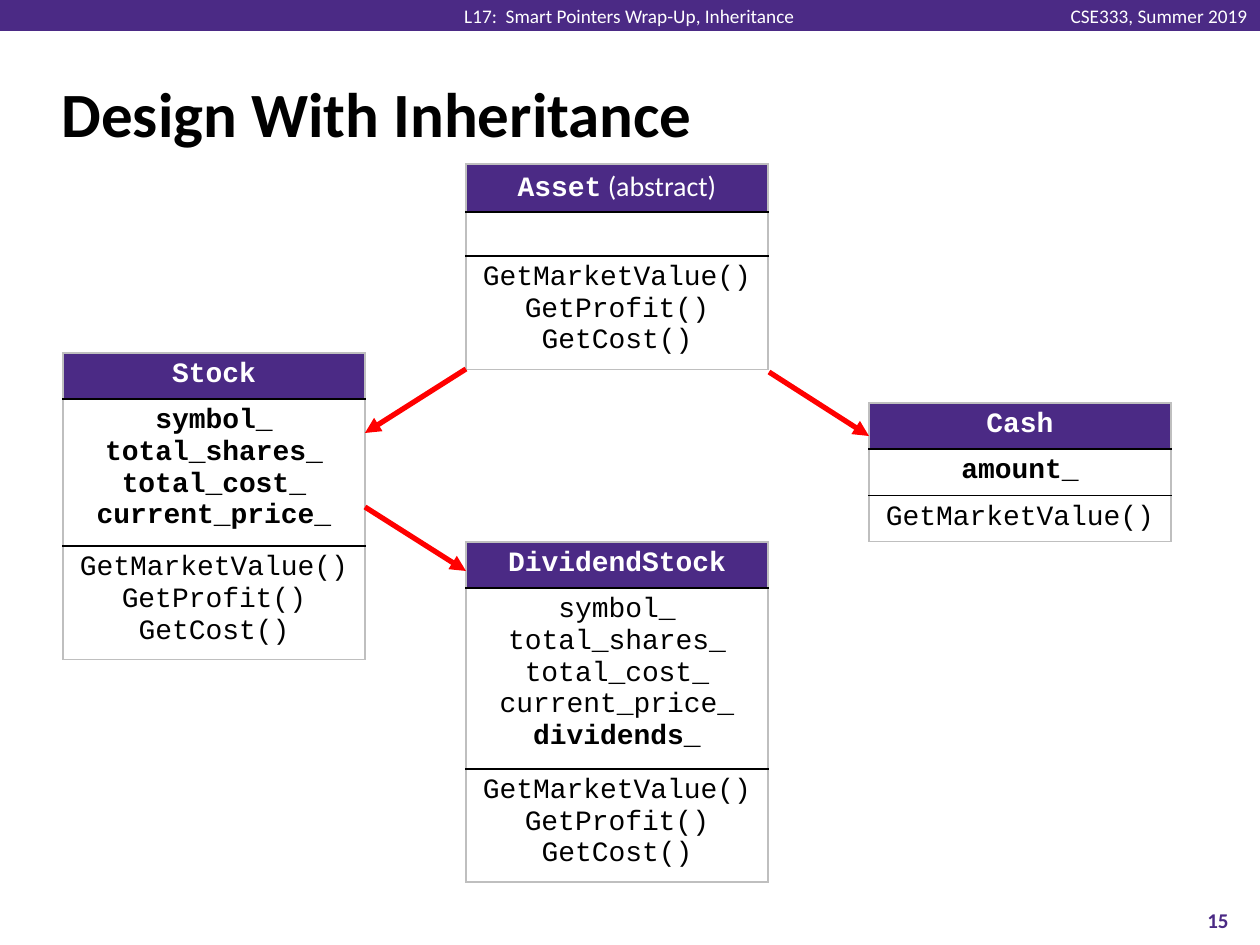
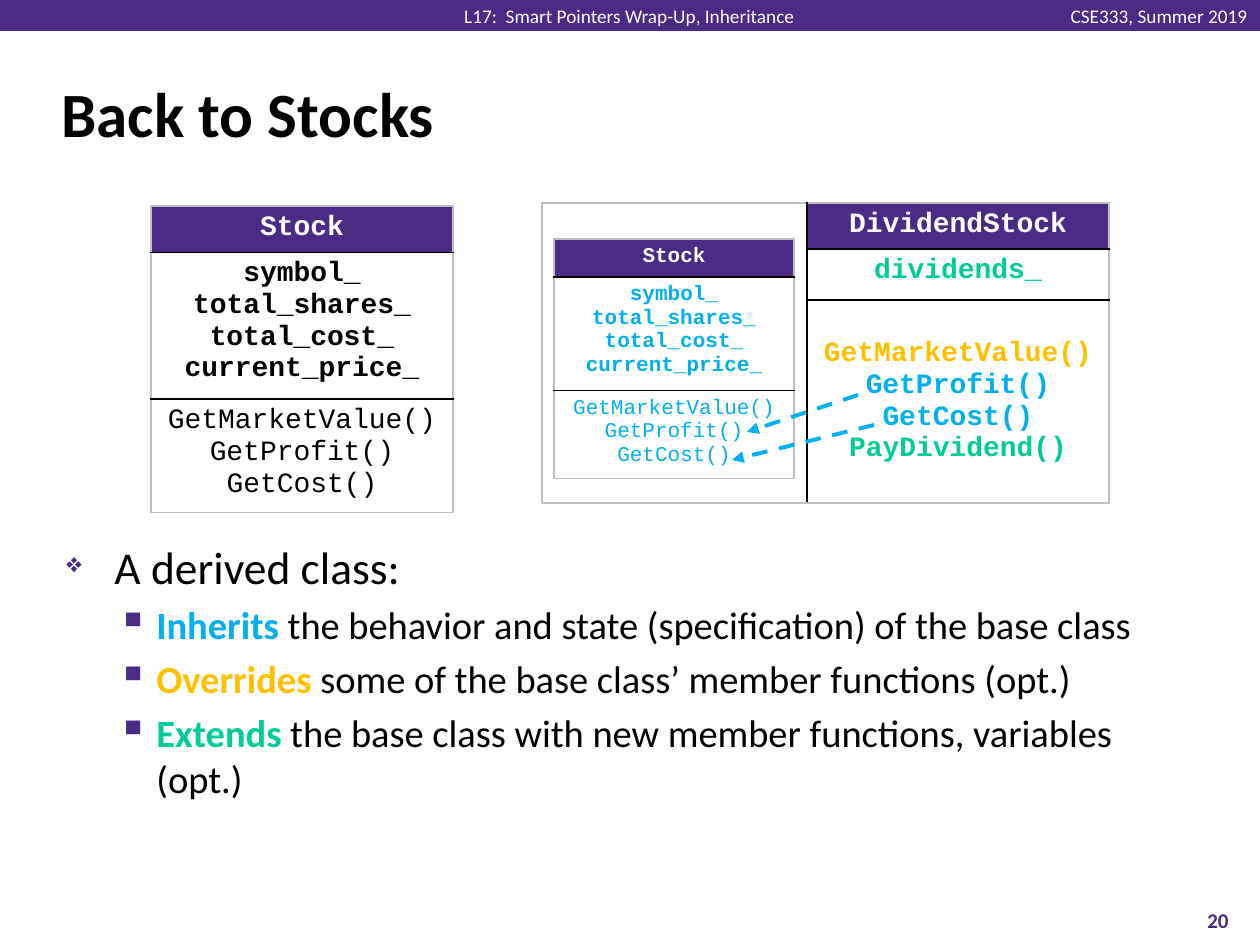
"""Builds two lecture slides on class inheritance, with class boxes, arrows and bullets."""
from lxml import etree
from pptx import Presentation
from pptx import util as u
from pptx.dml.color import RGBColor
from pptx.enum import dml, shapes, text
from pptx.oxml.ns import qn

SCALE = 914400 / 126
COLOURS = {
    "purple": "4B2A85", "white": "FFFFFF", "black": "000000", "grey": "BFBFBF",
    "red": "FF0000", "inherit": "00B0F0", "override": "FFC000", "extend": "00CC99",
}
BODY, CODE = "Calibri", "Courier New"
LEFT, CENTRE, RIGHT = text.PP_ALIGN.LEFT, text.PP_ALIGN.CENTER, text.PP_ALIGN.RIGHT
FIELDS = ["symbol_", "total_shares_", "total_cost_", "current_price_"]
METHODS = ["GetMarketValue()", "GetProfit()", "GetCost()"]


def px(*lengths):
    """Turns pixels into EMU."""
    return [u.Emu(round(length * SCALE)) for length in lengths]


def sub(parent, tag, **attributes):
    """Appends a drawing element to its parent."""
    return etree.SubElement(parent, qn(tag), attributes)


def code(lines, colour="black", bold=False):
    """Gives each line of code one run in one style."""
    return [[(line, colour, bold)] for line in lines]


def heading(name):
    """Gives the header cell of a class box."""
    return code([name], "white", True)


class Deck:
    """Holds the style and the current slide."""

    def __init__(self):
        """Starts an empty 4:3 deck."""
        self.prs = Presentation()
        self.prs.slide_width, self.prs.slide_height = px(1260, 945)

    def colour(self, name):
        """Looks up a colour."""
        return RGBColor.from_string(COLOURS[name])

    def style(self, run, size, colour, bold=False, font=BODY):
        """Formats one run."""
        run.font.size, run.font.bold, run.font.name = u.Pt(size), bold, font
        run.font.color.rgb = self.colour(colour)

    def fill_frame(self, frame, lines, size, font=BODY, align=LEFT):
        """Writes lines of (text, colour, bold, font) runs into a text frame."""
        for index, line in enumerate(lines):
            paragraph = frame.add_paragraph() if index else frame.paragraphs[0]
            paragraph.alignment = align
            for wording, colour, bold, *own_font in line:
                run = paragraph.add_run()
                run.text = wording
                self.style(run, size, colour, bold, *(own_font or [font]))

    def slide(self, title, number):
        """Adds a slide with its title, band and page number."""
        self.page = self.prs.slides.add_slide(self.prs.slide_layouts[5])
        self.band()
        name = self.page.shapes.title
        name.left, name.top, name.width, name.height = px(49, 60, 1158, 105)
        name.text_frame.text = title
        name.text_frame.vertical_anchor = text.MSO_ANCHOR.MIDDLE
        name.text_frame.paragraphs[0].alignment = LEFT
        self.style(name.text_frame.paragraphs[0].runs[0], 36, "black", True)
        self.label((1176, 895, 84, 50), number, 12, "purple", CENTRE, True)

    def band(self):
        """Draws the purple band with lecture and course."""
        strip = self.page.shapes.add_shape(shapes.MSO_SHAPE.RECTANGLE, *px(0, 0, 1260, 31))
        strip.shadow.inherit = False
        strip.fill.solid()
        strip.fill.fore_color.rgb = self.colour("purple")
        strip.line.fill.background()
        self.label((1056, 4, 204, 24), "CSE333, Summer 2019", 11, "white", RIGHT)
        self.label((450, 4, 359, 24), "L17:  Smart Pointers Wrap-Up, Inheritance",
                   11, "white", CENTRE)

    def label(self, box, wording, size, colour, align, bold=False):
        """Adds a one-line text."""
        frame = self.page.shapes.add_textbox(*px(*box)).text_frame
        frame.word_wrap = False
        frame.margin_top = frame.margin_bottom = 0
        frame.vertical_anchor = text.MSO_ANCHOR.MIDDLE
        self.fill_frame(frame, [[(wording, colour, bold)]], size, align=align)

    def table(self, left, top, widths, heights):
        """Adds a plain table and returns it."""
        grid = self.page.shapes.add_table(
            len(heights), len(widths), *px(left, top, sum(widths), sum(heights))).table
        grid.first_row = grid.horz_banding = False
        for column, width in zip(grid.columns, px(*widths)):
            column.width = width
        for row, height in zip(grid.rows, px(*heights)):
            row.height = height
        return grid

    def cell(self, cell, lines, edges, size=16, header=False):
        """Fills one cell; edges are the colours left, right, top and bottom."""
        properties = cell._tc.get_or_add_tcPr()
        for side, edge in zip("LRTB", edges):
            border = sub(properties, f"a:ln{side}", w="12700")
            sub(sub(border, "a:solidFill"), "a:srgbClr", val=COLOURS[edge])
        if header:
            cell.fill.solid()
            cell.fill.fore_color.rgb = self.colour("purple")
        else:
            cell.fill.background()
        if lines:
            self.fill_frame(cell.text_frame, lines, size, CODE, CENTRE)
        else:
            cell.margin_top = cell.margin_bottom = 0

    def compartments(self, grid, column, parts, left_edge="grey", size=16):
        """Fills a column with header, fields and methods of a class."""
        last = len(parts) - 1
        for row, lines in enumerate(parts):
            edges = (left_edge, "grey", "black" if row else "grey",
                     "black" if row < last else "grey")
            self.cell(grid.cell(row, column), lines, edges, size, row == 0)

    def class_box(self, left, top, heights, parts, width=302, size=16):
        """Draws one class as a three-part box."""
        self.compartments(self.table(left, top, [width], heights), 0, parts, size=size)

    def arrow(self, start, end, colour="red", weight=3, dashed=False):
        """Draws an arrow between two points."""
        line = self.page.shapes.add_connector(
            shapes.MSO_CONNECTOR.STRAIGHT, *px(*start, *end))
        line.line.color.rgb = self.colour(colour)
        line.line.width = u.Pt(weight)
        if dashed:
            line.line.dash_style = dml.MSO_LINE.DASH
        sub(line.line._get_or_add_ln(), "a:tailEnd", type="triangle")
        sub(line._element.spPr, "a:effectLst")

    def bullets(self, box, topic, points):
        """Writes a topic with its points below."""
        frame = self.page.shapes.add_textbox(*px(*box)).text_frame
        frame.word_wrap = True
        self.fill_frame(frame, [topic, *points], 22)
        frame.paragraphs[0].runs[0].font.size = u.Pt(26)
        for index, paragraph in enumerate(frame.paragraphs):
            size, margin, indent, percent, mark = (
                (22, 90, -39, 110, "\u25aa") if index else (26, 48, -48, 60, "\u2756"))
            paragraph.level = 1 if index else 0
            paragraph.space_before = u.Pt(size * 0.2)
            properties = paragraph._p.get_or_add_pPr()
            properties.set("marL", str(px(margin)[0]))
            properties.set("indent", str(px(indent)[0]))
            sub(sub(properties, "a:buClr"), "a:srgbClr", val=COLOURS["purple"])
            sub(properties, "a:buSzPct", val=str(percent * 1000))
            sub(properties, "a:buChar", char=mark)


deck = Deck()
stock = [heading("Stock"), code(FIELDS, bold=True), code(METHODS)]
stock_heights = [44, 140, 108]

deck.slide("Design With Inheritance", "15")
deck.class_box(63, 353, stock_heights, stock)
deck.class_box(869, 403, [44, 45, 45],
               [heading("Cash"), code(["amount_"], bold=True), code(METHODS[:1])])
deck.class_box(466, 542, [44, 171, 108],
               [heading("DividendStock"),
                code(FIELDS) + code(["dividends_"], bold=True), code(METHODS)])
deck.class_box(466, 164, [48, 44, 108],
               [[[("Asset", "white", True), (" (abstract)", "white", False, BODY)]],
                [], code(METHODS)])
for start, end in [((466, 369), (365, 433)), ((769, 372), (869, 436)),
                   ((365, 507), (466, 571))]:
    deck.arrow(start, end)

deck.slide("Back to Stocks", "20")
deck.bullets((54, 533, 1153, 340), [("A derived class:", "black", False)], [
    [(verb, colour, True), (rest, "black", False)] for verb, colour, rest in [
        ("Inherits", "inherit",
         " the behavior and state (specification) of the base class"),
        ("Overrides", "override",
         " some of the base class\u2019 member functions (opt.)"),
        ("Extends", "extend",
         " the base class with new member functions, variables (opt.)")]])
deck.class_box(151, 206, stock_heights, stock)

derived = deck.table(542, 203, [265, 302], [44, 51, 203])
for row in range(3):
    deck.cell(derived.cell(row, 0), [], ("grey", "black", "grey", "grey"))
derived.cell(0, 0).merge(derived.cell(2, 0))
deck.compartments(derived, 1, [
    heading("DividendStock"),
    code(["dividends_"], "extend", True),
    code(METHODS[:1], "override", True) + code(METHODS[1:], "inherit", True)
    + code(["PayDividend()"], "extend", True)], left_edge="black")
derived.cell(2, 1).vertical_anchor = text.MSO_ANCHOR.MIDDLE

deck.class_box(554, 239, [37, 108, 84],
               [heading("Stock"), code(FIELDS, "inherit", True),
                code(METHODS, "inherit")], width=240, size=12)
for start, end in [((858, 395), (747, 432)), ((874, 425), (732, 460))]:
    deck.arrow(start, end, "inherit", 2.25, dashed=True)

deck.prs.save("out.pptx")
